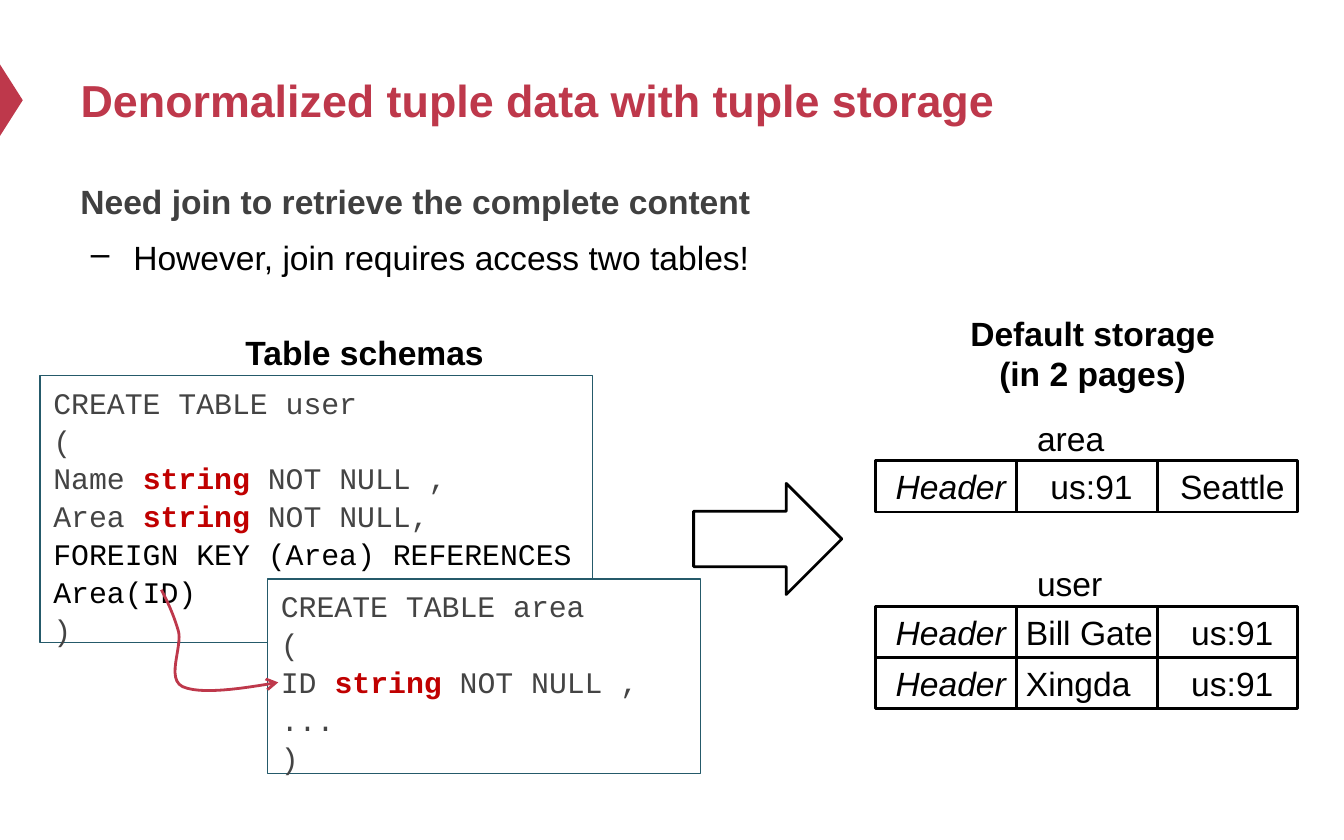
from dataclasses import dataclass

from lxml.etree import SubElement
from pptx import Presentation
from pptx.dml.color import RGBColor
from pptx.enum.shapes import MSO_SHAPE as Preset
from pptx.enum.text import MSO_ANCHOR as Anchor, MSO_AUTO_SIZE as AutoSize, PP_ALIGN as Align
from pptx.oxml.ns import qn
from pptx.util import Cm, Pt

RED, BLACK, WHITE = "BE384B", "000000", "FFFFFF"
CODE_GREY, TYPE_RED, TEAL = "444444", "C00000", "255A6A"
CELL_LEFT, CELL_WIDTH, CELL_HEIGHT = 16.55, 2.66, 0.97


@dataclass(frozen=True)
class Span:
    text: str
    color: str = BLACK
    bold: bool = False
    italic: bool = False


@dataclass(frozen=True)
class Box:
    left: float
    top: float
    width: float
    height: float

    def lengths(self) -> list:
        return [Cm(v) for v in (self.left, self.top, self.width, self.height)]


@dataclass(frozen=True)
class Schema:
    box: Box
    lines: tuple


@dataclass(frozen=True)
class Cell:
    text: str
    italic: bool = False
    align: Align = Align.CENTER


@dataclass(frozen=True)
class StoredTable:
    name: str
    top: float
    rows: tuple


def code(text: str) -> Span:
    return Span(text, CODE_GREY)


STRING = Span("string", TYPE_RED, bold=True)
HEADER = Cell("Header", italic=True)

SCHEMAS = (
    Schema(Box(0.76, 7.1, 10.44, 5.05), (
        [code("CREATE TABLE user")],
        [code("(")],
        [code("Name "), STRING, code(" NOT NULL ,")],
        [code("Area "), STRING, code(" NOT NULL,")],
        [Span("FOREIGN KEY (Area) REFERENCES Area(ID)")],
        [code(")")],
    )),
    Schema(Box(5.06, 10.95, 8.18, 3.68), (
        [code("CREATE TABLE area")],
        [code("(")],
        [code("ID "), STRING, code(" NOT NULL ,")],
        [code("...")],
        [code(")")],
    )),
)

STORED_TABLES = (
    StoredTable("area", 8.71, ((HEADER, Cell("us:91"), Cell("Seattle")),)),
    StoredTable("user", 11.46, (
        (HEADER, Cell("Bill Gate", align=Align.LEFT), Cell("us:91")),
        (HEADER, Cell("Xingda", align=Align.LEFT), Cell("us:91")),
    )),
)

# Start point, then two control points and an end point per curve, in cm
KEY_START = (3.05, 11.15)
KEY_CURVES = (
    ((3.18, 11.4), (3.3, 11.66), (3.38, 11.96)),
    ((3.43, 12.27), (3.15, 12.83), (3.45, 12.98)),
    ((3.78, 13.13), (4.52, 13.03), (5.26, 12.9)),
)


def rgb(color: str) -> RGBColor:
    return RGBColor.from_string(color)


def write(frame, lines, size: int, font: str = "Arial", align: Align = Align.LEFT) -> None:
    """Fill a text frame with one paragraph for each list of spans."""
    frame.word_wrap = True
    frame.auto_size = AutoSize.NONE
    for index, spans in enumerate(lines):
        paragraph = frame.add_paragraph() if index else frame.paragraphs[0]
        paragraph.alignment = align
        for span in spans:
            run = paragraph.add_run()
            run.text = span.text
            run.font.name = font
            run.font.size = Pt(size)
            run.font.bold = span.bold
            run.font.italic = span.italic
            run.font.color.rgb = rgb(span.color)


def add_text(slide, box: Box, lines, align: Align = Align.LEFT):
    frame = slide.shapes.add_textbox(*box.lengths()).text_frame
    write(frame, lines, 18, align=align)
    return frame


def style(shape, fill: str | None, line: str | None, width: float = 1.5) -> None:
    shape.shadow.inherit = False
    if fill:
        shape.fill.solid()
        shape.fill.fore_color.rgb = rgb(fill)
    else:
        shape.fill.background()
    if line:
        shape.line.color.rgb = rgb(line)
        shape.line.width = Pt(width)
    else:
        shape.line.fill.background()


def add_preset(slide, preset: Preset, box: Box, fill=None, line=None, width=1.5):
    shape = slide.shapes.add_shape(preset, *box.lengths())
    style(shape, fill, line, width)
    return shape


def add_title(slide, text: str) -> None:
    title = slide.shapes.title
    title.left, title.top, title.width, title.height = Box(1.27, 0.64, 22.86, 2.49).lengths()
    title.text_frame.vertical_anchor = Anchor.MIDDLE
    write(title.text_frame, [[Span(text, RED, bold=True)]], 24)


def add_message(slide) -> None:
    frame = add_text(slide, Box(1.27, 3.15, 22.86, 2.6), [
        [Span("Need join to retrieve the complete content", "404040", bold=True)],
        [Span("However, join requires access two tables!")],
    ])
    for paragraph in frame.paragraphs:
        paragraph.line_spacing = 1.2
    detail = frame.paragraphs[1]
    detail.space_before = Pt(4)
    properties = detail._p.get_or_add_pPr()
    properties.set("marL", str(Cm(1)))
    properties.set("indent", str(Cm(-0.8)))
    SubElement(properties, qn("a:buChar"), char="–")


def add_schema(slide, schema: Schema) -> None:
    shape = add_preset(slide, Preset.RECTANGLE, schema.box, WHITE, TEAL, 0.75)
    frame = shape.text_frame
    frame.vertical_anchor = Anchor.TOP
    write(frame, schema.lines, 16, "Courier New")
    for paragraph in frame.paragraphs:
        paragraph.line_spacing = 1.06


def add_key_arrow(slide) -> None:
    """Draw the curved arrow from the foreign key to the ID it refers to."""
    steps = 12
    points, start = [], KEY_START
    for curve in KEY_CURVES:
        for step in range(1, steps + 1):
            t = step / steps
            weights = ((1 - t) ** 3, 3 * t * (1 - t) ** 2, 3 * t * t * (1 - t), t ** 3)
            points.append(tuple(Cm(sum(w * p[axis] for w, p in zip(weights, (start, *curve))))
                                for axis in (0, 1)))
        start = curve[-1]
    builder = slide.shapes.build_freeform(*(Cm(v) for v in KEY_START))
    builder.add_line_segments(points, close=False)
    arrow = builder.convert_to_shape()
    style(arrow, None, RED)
    SubElement(arrow.line._get_or_add_ln(), qn("a:tailEnd"), type="arrow")


def add_cell(slide, cell: Cell, left: float, top: float) -> None:
    box = Box(left, top, CELL_WIDTH, CELL_HEIGHT)
    frame = add_preset(slide, Preset.RECTANGLE, box, WHITE, BLACK).text_frame
    frame.margin_left = Cm(0.18)
    frame.margin_right = frame.margin_top = frame.margin_bottom = 0
    frame.vertical_anchor = Anchor.MIDDLE
    write(frame, [[Span(cell.text, italic=cell.italic)]], 18, align=cell.align)


def add_stored_table(slide, table: StoredTable) -> None:
    add_text(slide, Box(19.35, table.top - 0.94, 2, 1.02), [[Span(table.name)]])
    for row, cells in enumerate(table.rows):
        for column, cell in enumerate(cells):
            add_cell(slide, cell, CELL_LEFT + column * CELL_WIDTH, table.top + row * CELL_HEIGHT)


def main() -> None:
    deck = Presentation()
    deck.slide_width, deck.slide_height = Cm(25.4), Cm(15.88)
    slide = deck.slides.add_slide(deck.slide_layouts[5])

    marker = add_preset(slide, Preset.ISOSCELES_TRIANGLE, Box(-0.46, 1.68, 1.35, 0.43), RED)
    marker.rotation = 90
    add_title(slide, "Denormalized tuple data with tuple storage")
    add_message(slide)

    add_text(slide, Box(4.39, 6.15, 5.23, 1.02), [[Span("Table schemas", bold=True)]])
    add_text(slide, Box(18, 5.79, 5.3, 1.8),
             [[Span("Default storage", bold=True)], [Span("(in 2 pages)", bold=True)]],
             Align.CENTER)
    add_preset(slide, Preset.RIGHT_ARROW, Box(13.11, 9.14, 2.8, 2.1), line=BLACK)
    for schema in SCHEMAS:
        add_schema(slide, schema)
    add_key_arrow(slide)
    for table in STORED_TABLES:
        add_stored_table(slide, table)
    deck.save("out.pptx")


if __name__ == "__main__":
    main()
